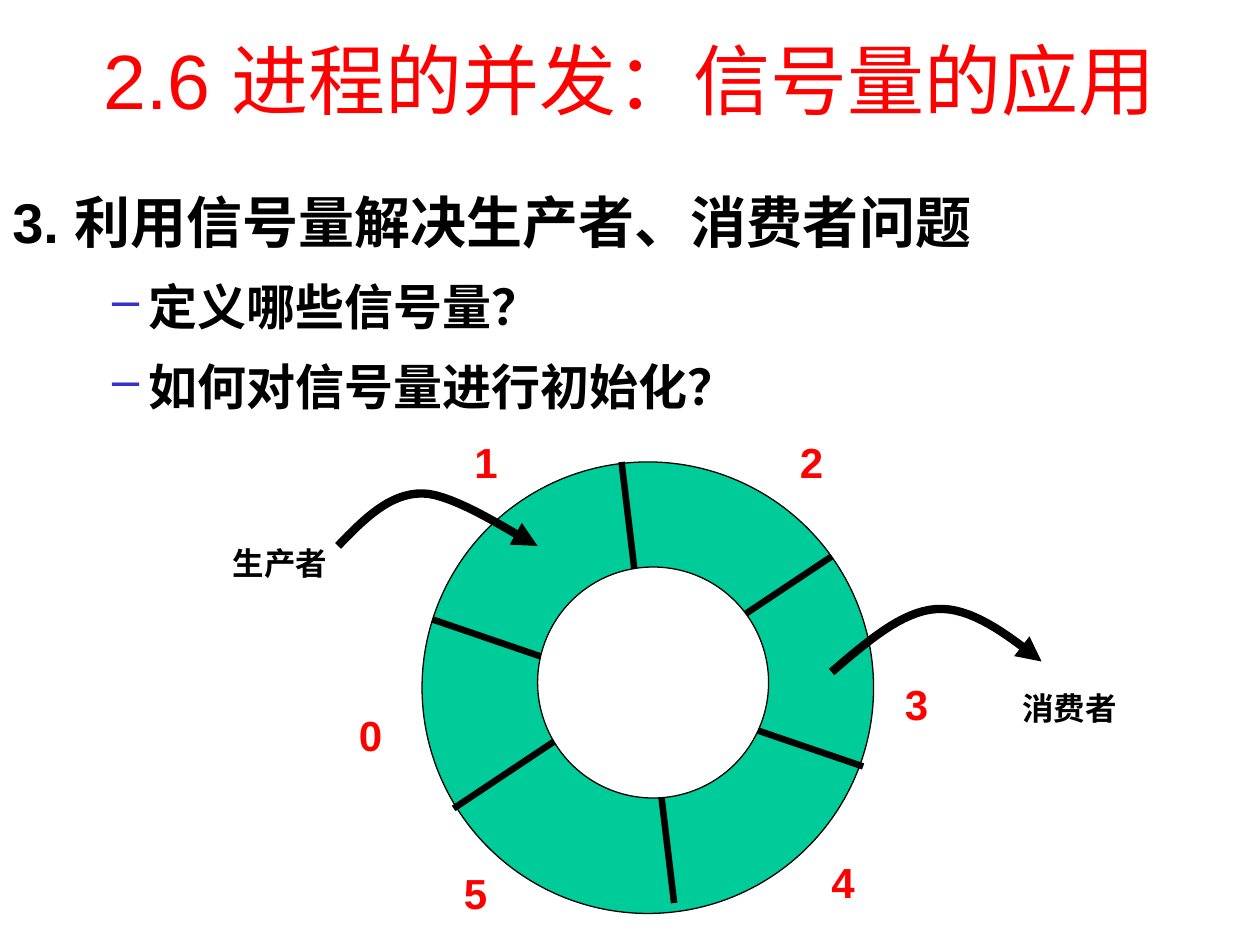
import pptx
import pptx.dml.color
import pptx.enum.dml
import pptx.enum.shapes
import pptx.enum.text
import pptx.oxml
import pptx.oxml.ns
import pptx.util

PX = 7620  # EMU per px, 120 px to the inch
BLACK, RED, GREEN, WHITE, BLUE = "000000", "FF0000", "00CC99", "FFFFFF", "3333CC"
ALIGN = pptx.enum.text.PP_ALIGN
ANCHOR = pptx.enum.text.MSO_ANCHOR


def color(value):
    return pptx.dml.color.RGBColor.from_string(value)


def element(tag, **attributes):
    node = pptx.oxml.parse_xml(f"<a:{tag} {pptx.oxml.ns.nsdecls('a')}/>")
    for name, value in attributes.items():
        node.set(name, str(value))
    return node


def bezier(start, control1, control2, end, steps=16):
    """Points along a cubic curve, without its start."""
    points = []
    for step in range(1, steps + 1):
        t = step / steps
        weights = ((1 - t) ** 3, 3 * t * (1 - t) ** 2, 3 * t * t * (1 - t), t ** 3)
        points.append(tuple(sum(w * p[axis] for w, p in zip(
            weights, (start, control1, control2, end))) for axis in (0, 1)))
    return points


class SlideBuilder:
    font = "Arial"

    def __init__(self, slide):
        self.slide = slide

    def text_box(self, left, top, width, height, wrap=False, anchor=ANCHOR.TOP):
        shape = self.slide.shapes.add_textbox(*(n * PX for n in (left, top, width, height)))
        frame = shape.text_frame
        frame.word_wrap = wrap
        frame.vertical_anchor = anchor
        return frame

    def paragraph(self, frame, text, size, text_color=BLACK, bold=True,
                  bullet=None, indent=None, **formats):
        first = frame.paragraphs[0]
        paragraph = first if not first.runs else frame.add_paragraph()
        properties = paragraph._p.get_or_add_pPr()
        if indent:
            properties.set("marL", str(indent[0] * PX))
            properties.set("indent", str(indent[1] * PX))
        if bullet:
            bullet_color = element("buClr")
            bullet_color.append(element("srgbClr", val=BLUE))
            properties.append(bullet_color)
            properties.append(element("buChar", char=bullet))
        for name, value in formats.items():
            setattr(paragraph, name, value)
        run = paragraph.add_run()
        run.text = text
        font_values = {"name": self.font, "size": pptx.util.Pt(size), "bold": bold}
        for name, value in font_values.items():
            setattr(run.font, name, value)
        run.font.color.rgb = color(text_color)

    def label(self, text, left, top, width, height, size, text_color=BLACK):
        self.paragraph(self.text_box(left, top, width, height), text, size, text_color)

    def outline(self, shape, width):
        shape.line.color.rgb = color(BLACK)
        shape.line.width = pptx.util.Pt(width)

    def circle(self, left, top, diameter, fill):
        shape = self.slide.shapes.add_shape(
            pptx.enum.shapes.MSO_SHAPE.OVAL,
            left * PX, top * PX, diameter * PX, diameter * PX)
        shape.shadow.inherit = False
        shape.fill.solid()
        shape.fill.fore_color.rgb = color(fill)
        self.outline(shape, 0.75)

    def line(self, *ends):
        connector = self.slide.shapes.add_connector(
            pptx.enum.shapes.MSO_CONNECTOR.STRAIGHT, *(n * PX for n in ends))
        self.outline(connector, 3.75)
        connector._element.spPr.append(element("effectLst"))

    def curved_arrow(self, start, *segments):
        points = [start]
        for segment in segments:
            points += bezier(points[-1], *segment)
        points = [(x * PX, y * PX) for x, y in points]
        builder = self.slide.shapes.build_freeform(*points[0], scale=1.0)
        builder.add_line_segments(points[1:], close=False)
        shape = builder.convert_to_shape()
        shape.shadow.inherit = False
        shape.fill.background()
        self.outline(shape, 4.75)
        line = shape.line._get_or_add_ln()
        line.append(element("round"))
        line.append(element("tailEnd", type="triangle"))


def main():
    presentation = pptx.Presentation()
    presentation.slide_width = 1200 * PX
    presentation.slide_height = 900 * PX
    builder = SlideBuilder(presentation.slides.add_slide(presentation.slide_layouts[6]))

    # Title
    title = builder.text_box(0, 0, 1200, 150, True, ANCHOR.MIDDLE)
    builder.paragraph(title, "2.6 进程的并发：信号量的应用", 44, RED, False, alignment=ALIGN.CENTER)

    # Question and its points
    body = builder.text_box(0, 160, 1200, 700, True)
    builder.paragraph(body, "3. 利用信号量解决生产者、消费者问题", 32, indent=(80, -80),
                      alignment=ALIGN.JUSTIFY, line_spacing=1.2)
    for point in ("定义哪些信号量？", "如何对信号量进行初始化？"):
        builder.paragraph(body, point, 28, bullet="–", indent=(130, -35),
                          line_spacing=1.2, space_before=pptx.util.Pt(5.6))

    # Ring buffer: disc, three diameters, hole
    builder.circle(402, 440, 430, GREEN)
    for ends in ((432, 770, 792, 530), (592, 440, 642, 860), (412, 590, 822, 730)):
        builder.line(*ends)
    builder.circle(512, 540, 220, WHITE)

    # Producer and consumer arrows
    builder.curved_arrow((322, 520), ((347, 494), (371, 470), (402, 470)),
                         ((433, 470), (493, 511), (512, 520)))
    builder.curved_arrow((792, 640), ((826, 611), (859, 582), (892, 580)),
                         ((925, 578), (959, 604), (992, 630)))
    for name, left, top in (("生产者", 210, 512), ("消费者", 962, 650)):
        builder.label(name, left, top, 114, 48, 18)

    # Slot numbers
    slots = ((330, 670), (440, 410), (750, 410), (850, 640), (780, 810), (430, 820))
    for number, (left, top) in enumerate(slots):
        builder.label(str(number), left, top, 47, 60, 24, RED)

    presentation.save("out.pptx")


if __name__ == "__main__":
    main()
